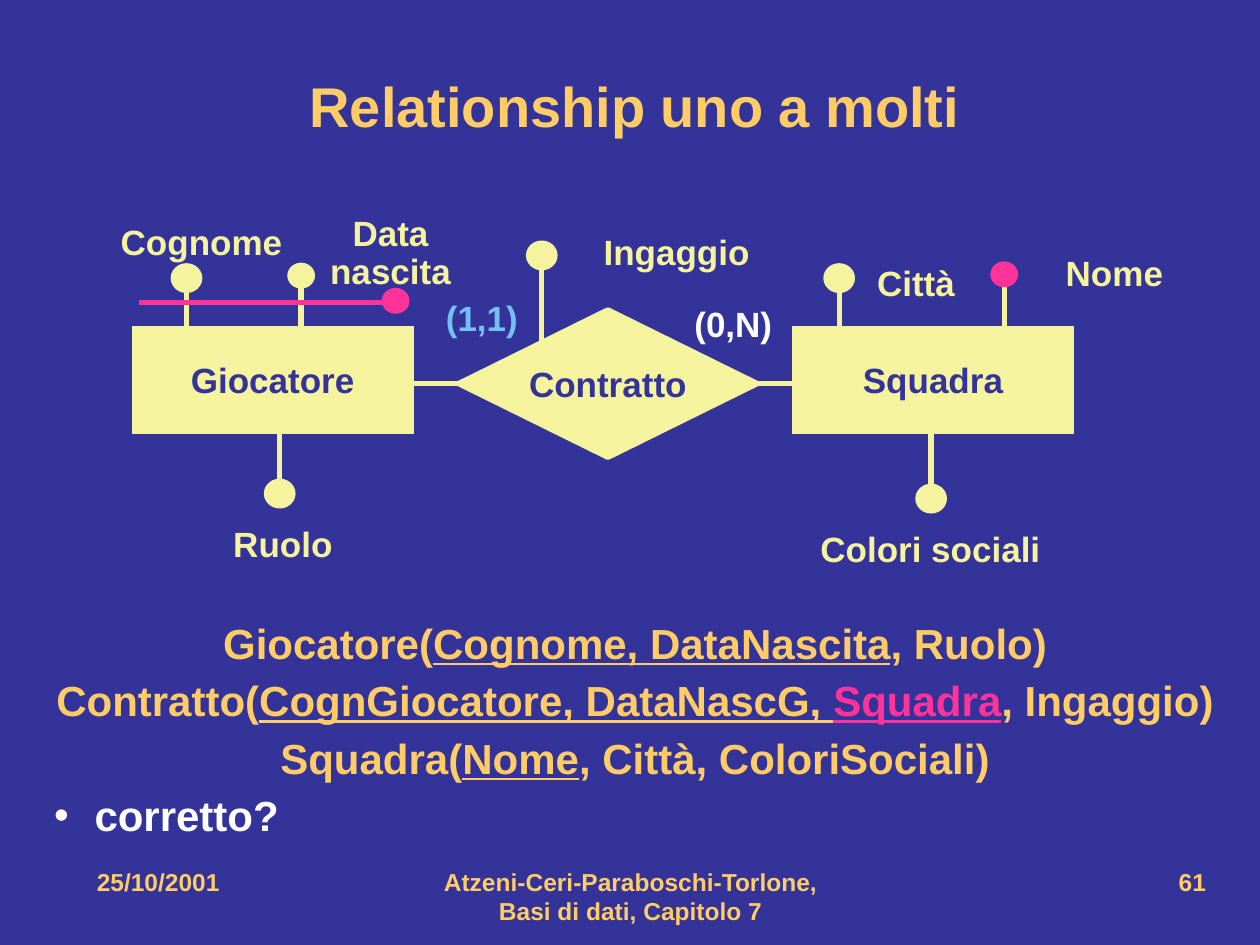
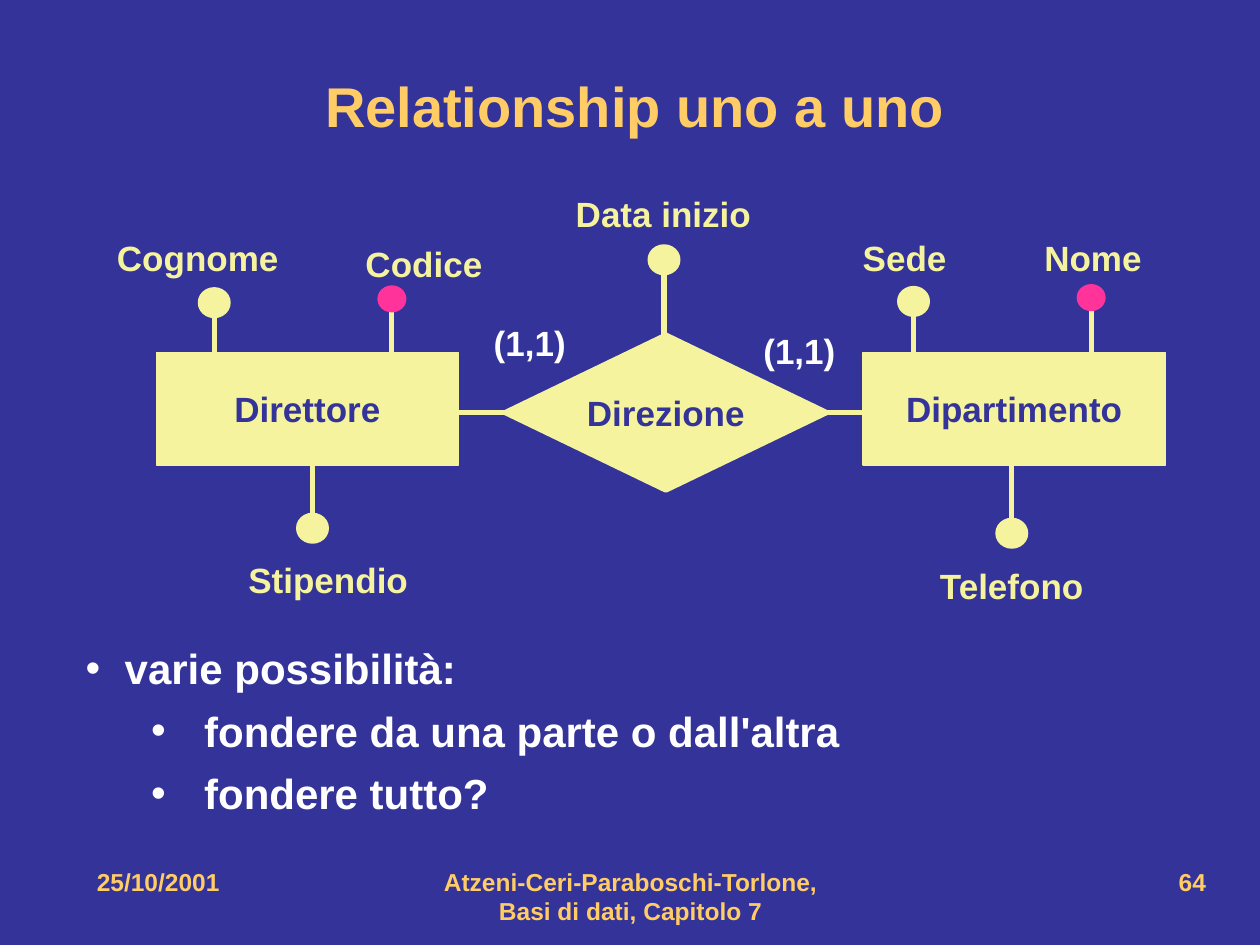
from lxml import etree
from pptx import Presentation
from pptx.dml.color import RGBColor
from pptx.enum.shapes import MSO_CONNECTOR, MSO_SHAPE
from pptx.enum.text import MSO_ANCHOR, MSO_AUTO_SIZE, PP_ALIGN
from pptx.oxml.ns import qn
from pptx.util import Inches, Pt

LEFT, CENTER, RIGHT = PP_ALIGN.LEFT, PP_ALIGN.CENTER, PP_ALIGN.RIGHT
MIDDLE, TOP = MSO_ANCHOR.MIDDLE, MSO_ANCHOR.TOP
NO_FIT = MSO_AUTO_SIZE.NONE
RECT, DIAMOND, OVAL = MSO_SHAPE.RECTANGLE, MSO_SHAPE.DIAMOND, MSO_SHAPE.OVAL
STRAIGHT = MSO_CONNECTOR.STRAIGHT

NAVY, CREAM, GOLD = "333399", "F5F39D", "FFCC66"
PINK, SKY, WHITE = "FF3399", "75C0F3", "FFFFFF"
FONT = "Arial"
WIDTH, HEIGHT = Inches(10), Inches(7.5)
COLUMNS, ROWS = 100, 75
THICK, THIN = 3, 0.75
LABEL_ROWS = 4.4
DATE = "25/10/2001"
CREDIT = "Atzeni-Ceri-Paraboschi-Torlone, Basi di dati, Capitolo 7"


def rgb(colour):
    """Turn a hex string into a colour."""
    return RGBColor.from_string(colour)


def grid(*lengths):
    """Turn alternating columns and rows into slide lengths."""
    steps = (WIDTH / COLUMNS, HEIGHT / ROWS)
    return [round(n * steps[i % 2]) for i, n in enumerate(lengths)]


def style_run(r, size, colour, underline=None):
    """Give a run the bold deck font."""
    r.font.name, r.font.size, r.font.bold = FONT, Pt(size), True
    r.font.color.rgb = rgb(colour)
    r.font.underline = underline


def write(tf, text, size, colour, align=CENTER, anchor=TOP, wrap=True, spacing=None):
    """Fill a text frame with evenly styled text."""
    tf.text = text
    tf.word_wrap, tf.vertical_anchor = wrap, anchor
    tf.auto_size = NO_FIT
    for p in tf.paragraphs:
        p.alignment = align
        p.line_spacing = spacing
        for r in p.runs:
            style_run(r, size, colour)


def add_text(s, box, text, size, colour, **options):
    """Add a text box at a grid position."""
    tf = s.shapes.add_textbox(*grid(*box)).text_frame
    write(tf, text, size, colour, **options)


def add_label(s, box, text, colour=CREAM, spacing=None, anchor=TOP):
    """Add a diagram label from its left, top and width."""
    add_text(s, (*box, LABEL_ROWS), text, 20, colour,
             wrap=False, spacing=spacing, anchor=anchor)


def add_figure(s, kind, box, colour=CREAM, weight=THICK, text=None):
    """Add a filled preset shape, with a name if one is given."""
    sp = s.shapes.add_shape(kind, *grid(*box))
    sp.shadow.inherit = False
    sp.fill.solid()
    sp.fill.fore_color.rgb = rgb(colour)
    sp.line.color.rgb = rgb(colour)
    sp.line.width = Pt(weight)
    if text:
        write(sp.text_frame, text, 20, NAVY, anchor=MIDDLE, wrap=False)


def add_line(s, start, end, colour=CREAM):
    """Draw a straight line between two grid points."""
    line = s.shapes.add_connector(STRAIGHT, *grid(*start, *end))
    line.line.color.rgb = rgb(colour)
    line.line.width = Pt(THICK)
    etree.SubElement(line._element.spPr, qn("a:effectLst"))


def add_dot(s, x, y, size, colour, weight):
    """Draw an attribute circle centred on column x."""
    add_figure(s, OVAL, (x - size / 2, y, size, 0.93 * size), colour, weight)


def add_attribute(s, x, y, size, colour=CREAM, weight=THICK, below=False):
    """Draw an attribute circle and its stem towards the owner."""
    stem = 2.8 * size
    start = y + 0.1 if below else y + 0.9 * size
    add_line(s, (x, start), (x, start - stem if below else start + stem))
    add_dot(s, x, y, size, colour, weight)


def add_relationship(s, entities, lefts, top, size, diamond, name):
    """Draw two entities linked through a diamond."""
    width, height = size
    middle = diamond[1] + diamond[3] / 2
    for entity, left in zip(entities, lefts):
        add_figure(s, RECT, (left, top, width, height), weight=THIN, text=entity)
    add_line(s, (lefts[0] + width - 3, middle), (lefts[1] + 1.5, middle))
    add_figure(s, DIAMOND, diamond, text=name)


def add_bullet(p, margin, hang):
    """Give a paragraph a hanging white bullet."""
    pPr = p._p.get_or_add_pPr()
    pPr.set("marL", str(Inches(margin)))
    pPr.set("indent", str(-Inches(hang)))
    colour = etree.SubElement(pPr, qn("a:buClr"))
    etree.SubElement(colour, qn("a:srgbClr"), val=WHITE)
    etree.SubElement(pPr, qn("a:buFont"), typeface=FONT)
    etree.SubElement(pPr, qn("a:buChar"), char="•")


def remove_bullet(p):
    """Drop the template's bullet and indent from a paragraph."""
    pPr = p._p.get_or_add_pPr()
    pPr.set("marL", "0")
    pPr.set("indent", "0")
    etree.SubElement(pPr, qn("a:buNone"))


def fill_body(s, box, gap, items):
    """Fill the body with (level, indent, runs) items; no indent means centred."""
    sp = s.placeholders[1]
    sp.left, sp.top, sp.width, sp.height = grid(*box)
    tf = sp.text_frame
    tf.auto_size = NO_FIT
    for i, (level, indent, runs) in enumerate(items):
        p = tf.add_paragraph() if i else tf.paragraphs[0]
        p.level = level
        if indent:
            add_bullet(p, *indent)
        else:
            remove_bullet(p)
        p.alignment = LEFT if indent else CENTER
        p.space_before = Pt(gap if i else 0)
        for text, colour, underline in runs:
            r = p.add_run()
            r.text = text
            style_run(r, 24, colour, underline)


def add_slide(prs, title, number):
    """Add a slide with the shared title and footer."""
    s = prs.slides.add_slide(prs.slide_layouts[1])
    sp = s.shapes.title
    sp.left, sp.top, sp.width, sp.height = grid(5, 2.5, 90.8, 11.7)
    write(sp.text_frame, title, 32, GOLD, anchor=MIDDLE)
    footer = [(6.7, 21.7, DATE, LEFT), (34.2, 31.7, CREDIT, CENTER),
              (71.7, 25, str(number), RIGHT)]
    for left, width, text, align in footer:
        add_text(s, (left, 68.3, width, 5), text, 14, GOLD, align=align)
    return s


def one_to_many(prs):
    """Build the one-to-many slide."""
    s = add_slide(prs, "Relationship uno a molti", 61)
    add_relationship(s, ("Giocatore", "Squadra"), (10.5, 62.9), 25.9, (22.3, 8.5),
                     (36.4, 24.6, 23.7, 11.7), "Contratto")
    dot = 2.1
    for x, y in [(14.8, 21.1), (66.6, 21.1), (43, 19.3)]:
        add_attribute(s, x, y, dot)
    add_attribute(s, 23.9, 20.9, dot, weight=THIN)
    add_attribute(s, 79.7, 20.8, dot, PINK, THIN)
    for x, y in [(22.2, 38.2), (73.9, 38.6)]:
        add_attribute(s, x, y, dot, below=True)
    add_dot(s, 31.4, 22.9, dot, PINK, THIN)
    add_line(s, (11, 24), (31.2, 24), PINK)
    labels = [("Cognome", 8.6, 17, 14.8), ("Città", 68.6, 20.3, 8.2),
              ("Nome", 83.6, 19.5, 9.7), ("Ingaggio", 46.9, 17.8, 13.6),
              ("Ruolo", 17.5, 41, 9.9), ("Colori sociali", 64.1, 41.4, 19.5)]
    for text, *box in labels:
        add_label(s, box, text)
    add_label(s, (25.2, 16.7, 11.6), "Data\nnascita", spacing=0.9)
    add_label(s, (34.4, 23, 7.7), "(1,1)", SKY, anchor=MIDDLE)
    add_label(s, (54.1, 23.5, 8.2), "(0,N)", WHITE, anchor=MIDDLE)
    fill_body(s, (3.3, 48.5, 94.2, 18.3), 4, [
        (0, None, [("Giocatore(", GOLD, None), ("Cognome, DataNascita", GOLD, True),
                   (", Ruolo)", GOLD, None)]),
        (0, None, [("Contratto(", GOLD, None),
                   ("CognGiocatore, DataNascG, ", GOLD, True),
                   ("Squadra", PINK, True), (", Ingaggio)", GOLD, None)]),
        (0, None, [("Squadra(", GOLD, None), ("Nome", GOLD, True),
                   (", Città, ColoriSociali)", GOLD, None)]),
        (0, (0.32, 0.32), [("corretto?", WHITE, None)]),
    ])


def one_to_one(prs):
    """Build the one-to-one slide."""
    s = add_slide(prs, "Relationship uno a uno", 64)
    add_relationship(s, ("Direttore", "Dipartimento"), (12.4, 68.5), 28, (24, 8.9),
                     (40.1, 26.6, 25.5, 12.3), "Direzione")
    dot = 2.2
    for x, y in [(17, 23), (72.5, 22.9), (52.7, 19.6)]:
        add_attribute(s, x, y, dot)
    for x, y in [(31.1, 22.7), (86.6, 22.6)]:
        add_attribute(s, x, y, dot, PINK, THIN)
    for x, y in [(24.8, 40.9), (80.3, 41.3)]:
        add_attribute(s, x, y, dot, below=True)
    labels = [("Cognome", 8.3, 18.3, 14.8), ("Sede", 67.5, 18.3, 8.6),
              ("Nome", 81.9, 18.3, 9.7), ("Data inizio", 44.7, 14.8, 15.9),
              ("Stipendio", 18.7, 43.8, 14.7), ("Telefono", 73.5, 44.3, 13.6)]
    for text, *box in labels:
        add_label(s, box, text)
    add_label(s, (28, 19.1, 11.3), "Codice", spacing=0.9)
    for box in [(38.2, 25, 7.7), (59.6, 25.6, 7.7)]:
        add_label(s, box, "(1,1)", WHITE, anchor=MIDDLE)
    inner = (0.94, 0.42)
    fill_body(s, (5.8, 50.5, 94.2, 18.3), 7, [
        (0, (0.31, 0.31), [("varie possibilità:", WHITE, None)]),
        (1, inner, [("fondere da una parte o dall'altra", WHITE, None)]),
        (1, inner, [("fondere tutto?", WHITE, None)]),
    ])


def main():
    """Build and save the deck."""
    prs = Presentation()
    prs.slide_width, prs.slide_height = WIDTH, HEIGHT
    fill = prs.slide_master.background.fill
    fill.solid()
    fill.fore_color.rgb = rgb(NAVY)
    one_to_many(prs)
    one_to_one(prs)
    prs.save("out.pptx")


if __name__ == "__main__":
    main()
